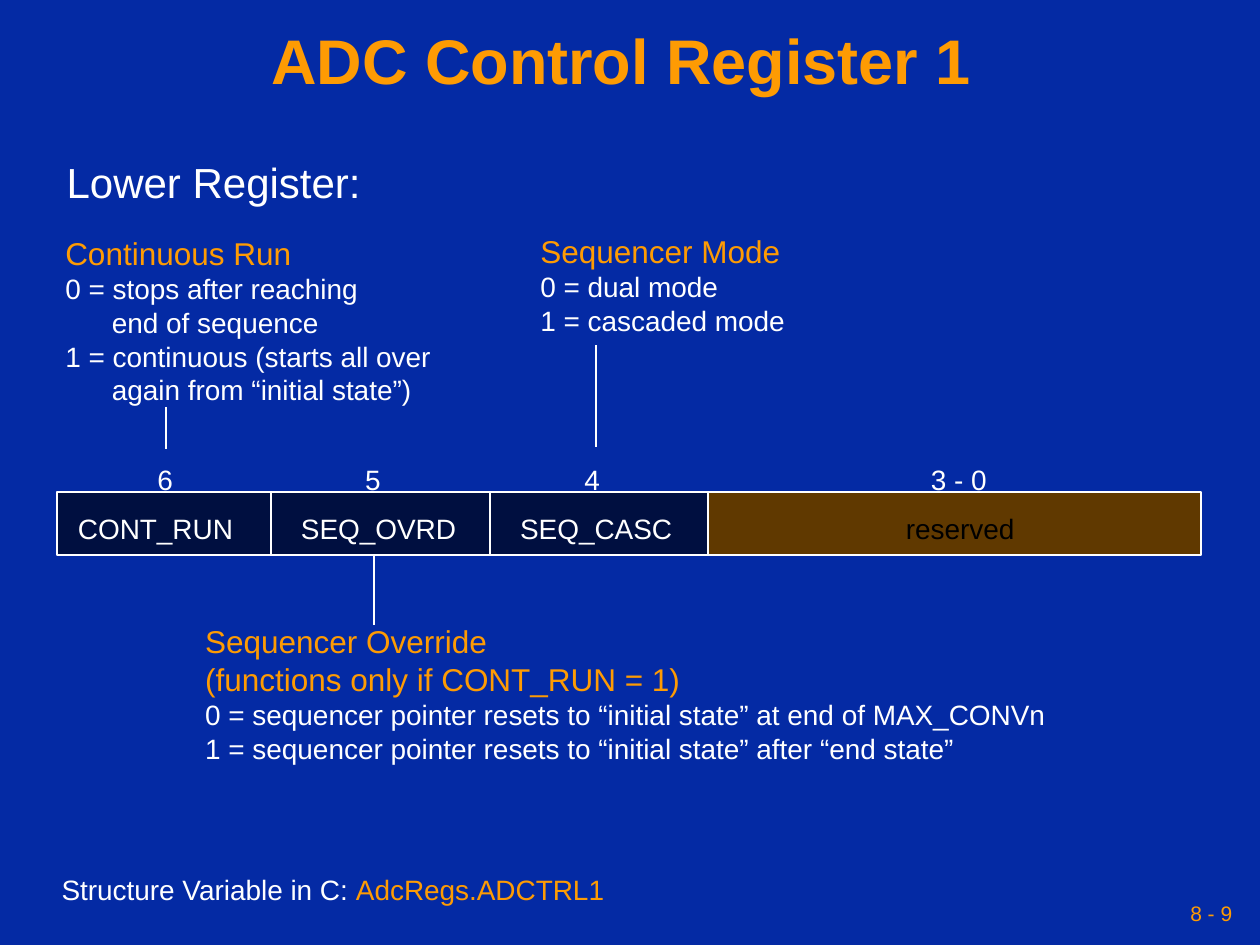
import pptx
import pptx.dml.color
import pptx.enum.shapes
import pptx.enum.text
import pptx.oxml.ns
import pptx.util
import lxml.etree

NAVY = pptx.dml.color.RGBColor(0x00, 0x0F, 0x40)
BLUE = pptx.dml.color.RGBColor(0x04, 0x2A, 0xA4)
ORANGE = pptx.dml.color.RGBColor(0xFE, 0x9B, 0x03)
BROWN = pptx.dml.color.RGBColor(0x60, 0x39, 0x00)
WHITE = pptx.dml.color.RGBColor(0xFF, 0xFF, 0xFF)
BLACK = pptx.dml.color.RGBColor(0x00, 0x00, 0x00)
ALIGN = pptx.enum.text.PP_ALIGN
ANCHOR = pptx.enum.text.MSO_ANCHOR

deck = pptx.Presentation()
deck.slide_width = pptx.util.Inches(10)
deck.slide_height = pptx.util.Inches(7.5)
column = deck.slide_width / 100
row = deck.slide_height / 75
page = deck.slides.add_slide(deck.slide_layouts[5])
page.background.fill.solid()
page.background.fill.fore_color.rgb = BLUE


def grid(left, top, width, height):
    return int(left * column), int(top * row), int(width * column), int(height * row)


def write_text(para, text, size=16, color=WHITE, bold=False, align=ALIGN.LEFT, indent=0):
    para.alignment = align
    if indent:
        para._p.get_or_add_pPr().set("marL", str(int(indent * column)))
    span = para.add_run()
    span.text = text
    span.font.name = "Arial"
    span.font.size = pptx.util.Pt(size)
    span.font.bold = bold
    span.font.color.rgb = color


title = page.shapes.title
title.left, title.top, title.width, title.height = grid(0, 1.7, 100, 6.7)
title.text_frame.vertical_anchor = ANCHOR.MIDDLE
title_para = title.text_frame.paragraphs[0]
title_para.line_spacing = 0.9
write_text(title_para, "ADC Control Register 1 ", size=36, color=ORANGE, bold=True, align=ALIGN.CENTER)

register_top, register_height = 39.05, 5
register_bottom = register_top + register_height
register_edges = [4.5, 21.5, 38.9, 56.2, 95.3]
for left, right, color in [
    (register_edges[0], register_edges[3], NAVY),
    (register_edges[3], register_edges[4], BROWN),
]:
    field = page.shapes.add_shape(
        pptx.enum.shapes.MSO_SHAPE.RECTANGLE,
        *grid(left, register_top, right - left, register_height),
    )
    field.shadow.inherit = False
    field.fill.solid()
    field.fill.fore_color.rgb = color
    field.line.color.rgb = WHITE
    field.line.width = pptx.util.Pt(1)

dividers = [(edge, register_top, register_bottom) for edge in register_edges[1:3]]
leaders = [(13.2, 32.3, 35.6), (29.7, register_bottom, 49.6), (47.3, 27.4, 35.5)]
for across, top, bottom in dividers + leaders:
    line = page.shapes.add_connector(
        pptx.enum.shapes.MSO_CONNECTOR.STRAIGHT,
        int(across * column), int(top * row), int(across * column), int(bottom * row),
    )
    line.line.color.rgb = WHITE
    line.line.width = pptx.util.Pt(1)
    lxml.etree.SubElement(line._element.spPr, pptx.oxml.ns.qn("a:effectLst"))

heading = dict(size=18, color=ORANGE)
plain = dict()
hanging = dict(indent=3.7)
blocks = [
    ((4.3, 11.9, 26.5, 5), [("Lower Register:", dict(size=24))]),
    ((4.2, 18.1, 32, 14.6), [
        ("Continuous Run", heading),
        ("0 = stops after reaching", plain),
        ("end of sequence", hanging),
        ("1 = continuous (starts all over", plain),
        ("again from “initial state”)", hanging),
    ]),
    ((41.9, 17.9, 22, 9.3), [
        ("Sequencer Mode", heading),
        ("0 = dual mode", plain),
        ("1 = cascaded mode", plain),
    ]),
    ((15.3, 48.9, 81.3, 12.3), [
        ("Sequencer Override", heading),
        ("(functions only if CONT_RUN = 1)", heading),
        ("0 = sequencer pointer resets to “initial state” at end of MAX_CONVn", plain),
        ("1 = sequencer pointer resets to “initial state” after “end state”", plain),
    ]),
    ((3.9, 68.8, 50, 3.7), [("Structure Variable in C: ", plain)]),
]
for left, width, text in [(11.5, 3.4, "6"), (28, 3.4, "5"), (45.4, 3.4, "4"), (72.9, 6.7, "3 - 0")]:
    blocks.append(((left, 36.2, width, 3.7), [(text, plain)]))
for left, width, text, color in [
    (5.2, 14.8, "CONT_RUN", WHITE),
    (22.9, 14.8, "SEQ_OVRD", WHITE),
    (40.3, 14.8, "SEQ_CASC", WHITE),
    (70.9, 11.2, "reserved", BLACK),
]:
    blocks.append(((left, 40.1, width, 3.7), [(text, dict(color=color))]))

for place, lines in blocks:
    box = page.shapes.add_textbox(*grid(*place))
    frame = box.text_frame
    frame.word_wrap = place[2] >= 50
    frame.auto_size = pptx.enum.text.MSO_AUTO_SIZE.SHAPE_TO_FIT_TEXT
    for number, (text, style) in enumerate(lines):
        para = frame.add_paragraph() if number else frame.paragraphs[0]
        write_text(para, text, **style)
        if text.startswith("Structure Variable"):
            write_text(para, "AdcRegs.ADCTRL1", color=ORANGE)

footer = page.shapes.add_textbox(*grid(68.3, 70.8, 30, 3.3))
footer.text_frame.word_wrap = True
footer.text_frame.vertical_anchor = ANCHOR.MIDDLE
footer.text_frame.margin_left = footer.text_frame.margin_right = pptx.util.Inches(0.05)
write_text(footer.text_frame.paragraphs[0], "8 - 9", size=12, color=ORANGE, align=ALIGN.RIGHT)

deck.save("out.pptx")
